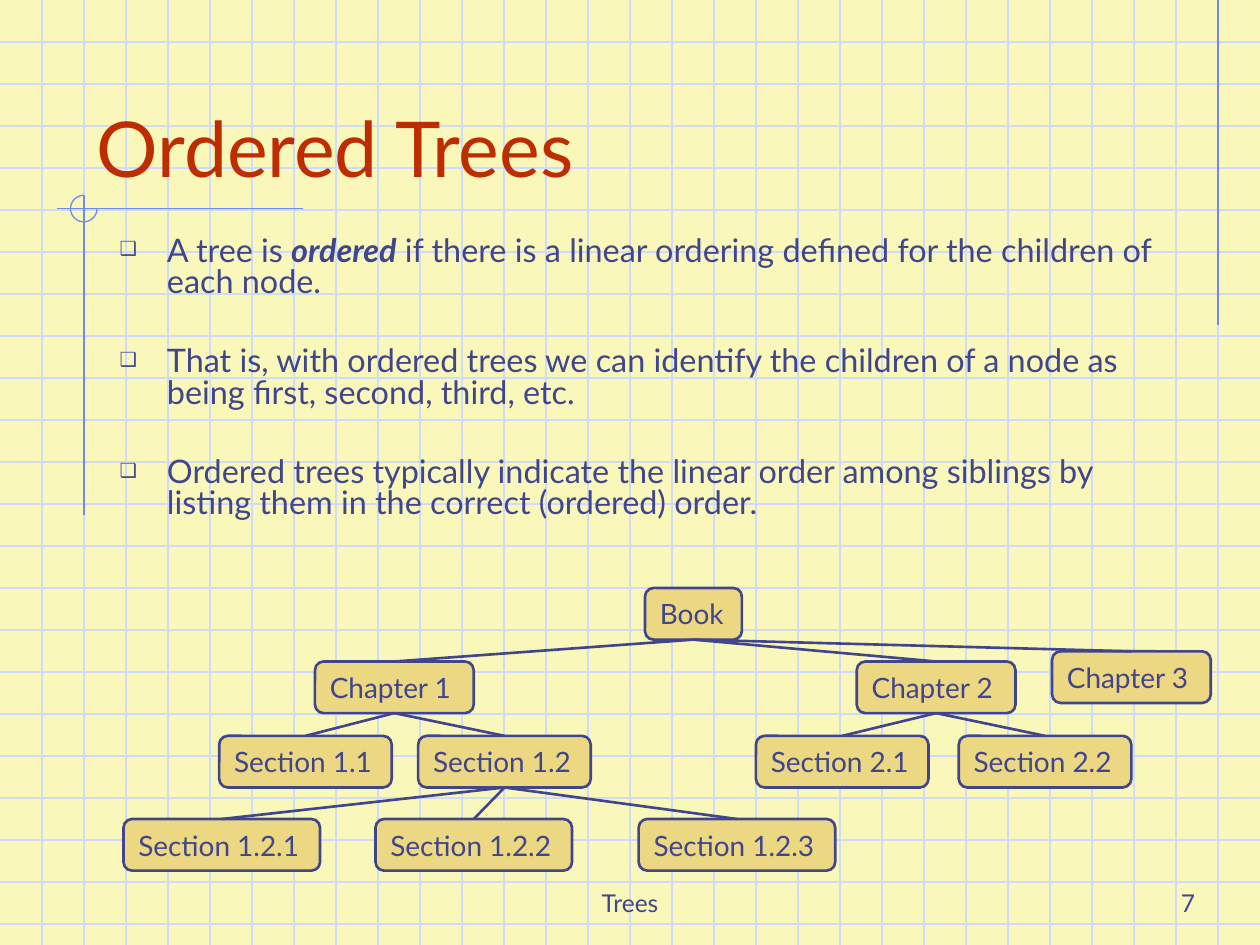
from lxml.etree import SubElement
from pptx import Presentation
from pptx.dml.color import RGBColor
from pptx.enum.shapes import MSO_CONNECTOR, MSO_SHAPE
from pptx.enum.text import MSO_ANCHOR, MSO_AUTO_SIZE, PP_ALIGN
from pptx.oxml.ns import qn
from pptx.util import Pt

FONT = "Lato"
COLORS = {
    "paper": "F9F8BA",
    "grid": "CFDBFD",
    "margin": "6F89F7",
    "title": "BE2D00",
    "ink": "40458C",
    "node": "ECD882",
}
WIDTH, HEIGHT, GRID_STEP = 720, 540, 24
NODE_HEIGHT = 29.5

BULLETS = [
    [("A tree is ", False), ("ordered", True),
     (" if there is a linear ordering defined for the children of each node.", False)],
    [("That is, with ordered trees we can identify the children of a node as "
      "being first, second, third, etc.", False)],
    [("Ordered trees typically indicate the linear order among siblings by "
      "listing them in the correct (ordered) order.", False)],
]

ROWS = [
    (336, 55.4, {"Book": 368.6}),
    (378, 90.7, {"Chapter 1": 180, "Chapter 2": 489.6}),
    (372.2, 90.7, {"Chapter 3": 601.2}),
    (420.5, 98.6, {"Section 1.1": 125.3, "Section 1.2": 239,
                   "Section 2.1": 432, "Section 2.2": 547.9}),
    (468, 112.3, {"Section 1.2.1": 70.6, "Section 1.2.2": 214.6,
                  "Section 1.2.3": 365}),
]

CHILDREN = {
    "Book": ["Chapter 1", "Chapter 2", "Chapter 3"],
    "Chapter 1": ["Section 1.1", "Section 1.2"],
    "Chapter 2": ["Section 2.1", "Section 2.2"],
    "Section 1.2": ["Section 1.2.1", "Section 1.2.2", "Section 1.2.3"],
}


def color(name):
    return RGBColor.from_string(COLORS[name])


def style_span(span, size, color_name):
    span.font.name = FONT
    span.font.size = Pt(size)
    span.font.color.rgb = color(color_name)


def place(shape, left, top, width, height):
    shape.left, shape.top = Pt(left), Pt(top)
    shape.width, shape.height = Pt(width), Pt(height)


def add_line(page, start, end, color_name, weight=0.75):
    line = page.shapes.add_connector(
        MSO_CONNECTOR.STRAIGHT, *(Pt(value) for value in (*start, *end)))
    line.line.color.rgb = color(color_name)
    line.line.width = Pt(weight)
    SubElement(line.element.spPr, qn("a:effectLst"))
    return line


def add_grid(page):
    for y in range(GRID_STEP, HEIGHT, GRID_STEP):
        add_line(page, (0, y), (WIDTH, y), "grid")
    for x in range(GRID_STEP, WIDTH, GRID_STEP):
        add_line(page, (x, 0), (x, HEIGHT), "grid")


def add_margin_marks(page):
    add_line(page, (696, 0), (696, 186), "margin")
    add_line(page, (173, 119.3), (32.5, 119.3), "margin")
    add_line(page, (48, 111.5), (48, 294.5), "margin")
    arc = page.shapes.add_shape(
        MSO_SHAPE.ARC, Pt(40.3), Pt(111.6), Pt(15.2), Pt(15.2))
    arc.adjustments[0] = 0
    arc.adjustments[1] = 162
    arc.shadow.inherit = False
    arc.fill.background()
    arc.line.color.rgb = color("margin")
    arc.line.width = Pt(0.75)


def bring_to_front(shape):
    shape.element.getparent().append(shape.element)


def fill_title(title):
    place(title, 48, 24, 612, 90)
    bring_to_front(title)
    frame = title.text_frame
    frame.text = "Ordered Trees"
    frame.auto_size = MSO_AUTO_SIZE.NONE
    frame.vertical_anchor = MSO_ANCHOR.BOTTOM
    para = frame.paragraphs[0]
    para.alignment = PP_ALIGN.LEFT
    style_span(para.runs[0], 44, "title")


def add_bullet(para):
    properties = para._p.get_or_add_pPr()
    properties.set("marL", str(Pt(27)))
    properties.set("indent", str(Pt(-27)))
    bullet_color = SubElement(properties, qn("a:buClr"))
    SubElement(bullet_color, qn("a:srgbClr"), val=COLORS["ink"])
    SubElement(properties, qn("a:buSzPct"), val="60000")
    SubElement(properties, qn("a:buChar"), char="❑")


def fill_body(body):
    place(body, 61.2, 132, 604.8, 180)
    bring_to_front(body)
    frame = body.text_frame
    frame.auto_size = MSO_AUTO_SIZE.NONE
    for index, parts in enumerate(BULLETS):
        para = frame.add_paragraph() if index else frame.paragraphs[0]
        add_bullet(para)
        para.line_spacing = 0.8
        para.space_before = Pt(27.75 if index else 0)
        for text, emphasized in parts:
            span = para.add_run()
            span.text = text
            style_span(span, 18.5, "ink")
            span.font.bold = span.font.italic = emphasized


def add_footer(page, text, left, width, alignment):
    box = page.shapes.add_textbox(Pt(left), Pt(492), Pt(width), Pt(36))
    frame = box.text_frame
    frame.text = text
    frame.word_wrap = True
    frame.vertical_anchor = MSO_ANCHOR.BOTTOM
    para = frame.paragraphs[0]
    para.alignment = alignment
    style_span(para.runs[0], 14, "ink")


def add_node(page, text, left, top, width):
    node = page.shapes.add_shape(
        MSO_SHAPE.ROUNDED_RECTANGLE, Pt(left), Pt(top), Pt(width), Pt(NODE_HEIGHT))
    node.shadow.inherit = False
    node.fill.solid()
    node.fill.fore_color.rgb = color("node")
    node.line.color.rgb = color("ink")
    node.line.width = Pt(1.5)
    frame = node.text_frame
    frame.text = text
    frame.word_wrap = True
    frame.vertical_anchor = MSO_ANCHOR.MIDDLE
    para = frame.paragraphs[0]
    para.alignment = PP_ALIGN.LEFT
    style_span(para.runs[0], 16, "ink")
    return node


def add_tree(page):
    nodes = {
        text: add_node(page, text, left, top, width)
        for top, width, lefts in ROWS
        for text, left in lefts.items()
    }
    for parent, children in CHILDREN.items():
        for child in children:
            branch = add_line(page, (0, 0), (0, 0), "ink", 1.5)
            branch.begin_connect(nodes[parent], 2)
            branch.end_connect(nodes[child], 0)


def main():
    deck = Presentation()
    deck.slide_width, deck.slide_height = Pt(WIDTH), Pt(HEIGHT)
    page = deck.slides.add_slide(deck.slide_layouts[1])
    page.background.fill.solid()
    page.background.fill.fore_color.rgb = color("paper")
    add_grid(page)
    add_margin_marks(page)
    add_footer(page, "Trees", 246, 228, PP_ALIGN.CENTER)
    add_footer(page, "7", 540, 150, PP_ALIGN.RIGHT)
    fill_title(page.shapes.title)
    fill_body(page.placeholders[1])
    add_tree(page)
    deck.save("out.pptx")


if __name__ == "__main__":
    main()
